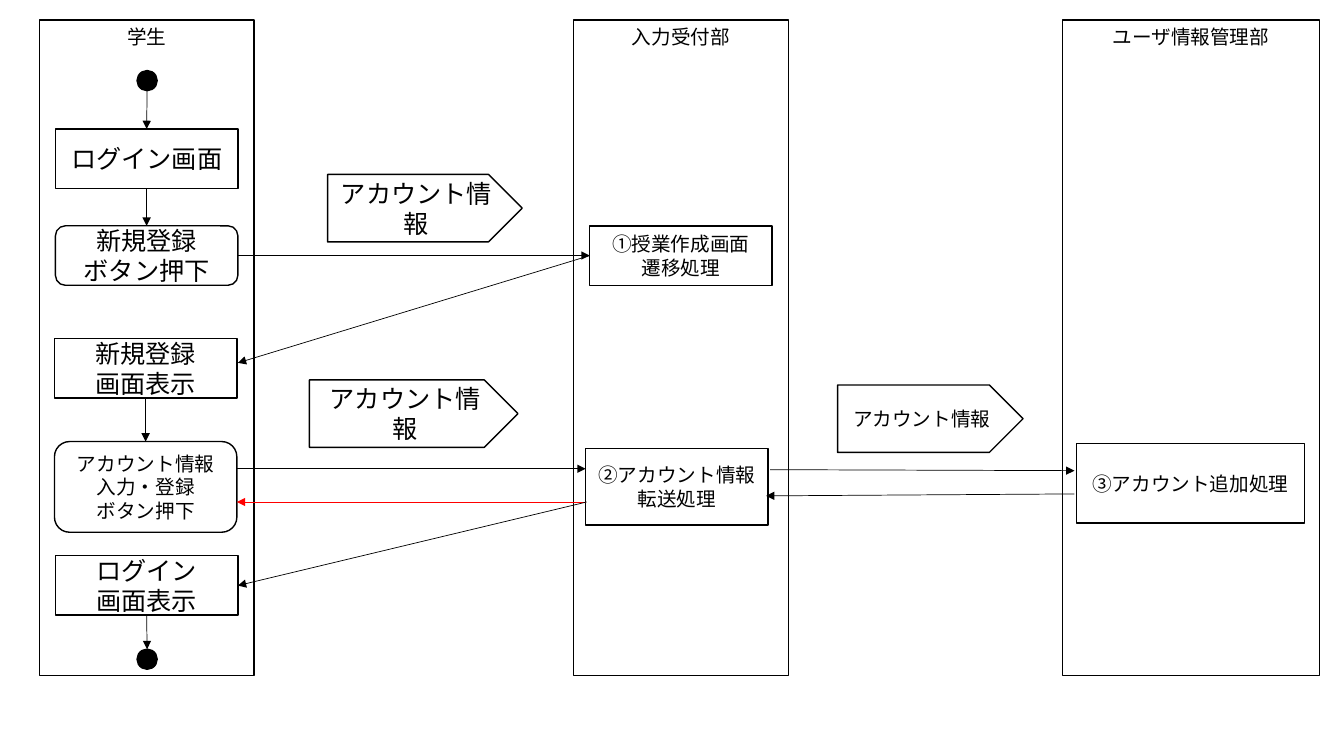
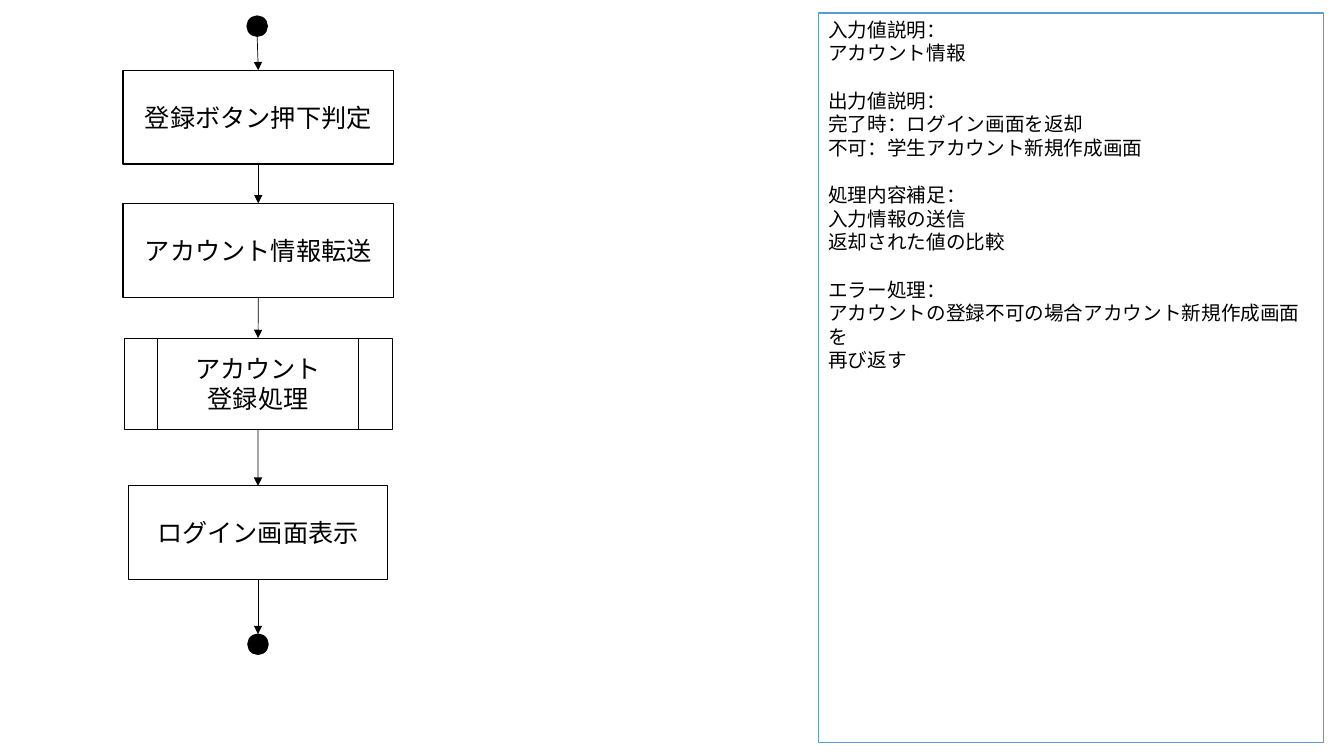
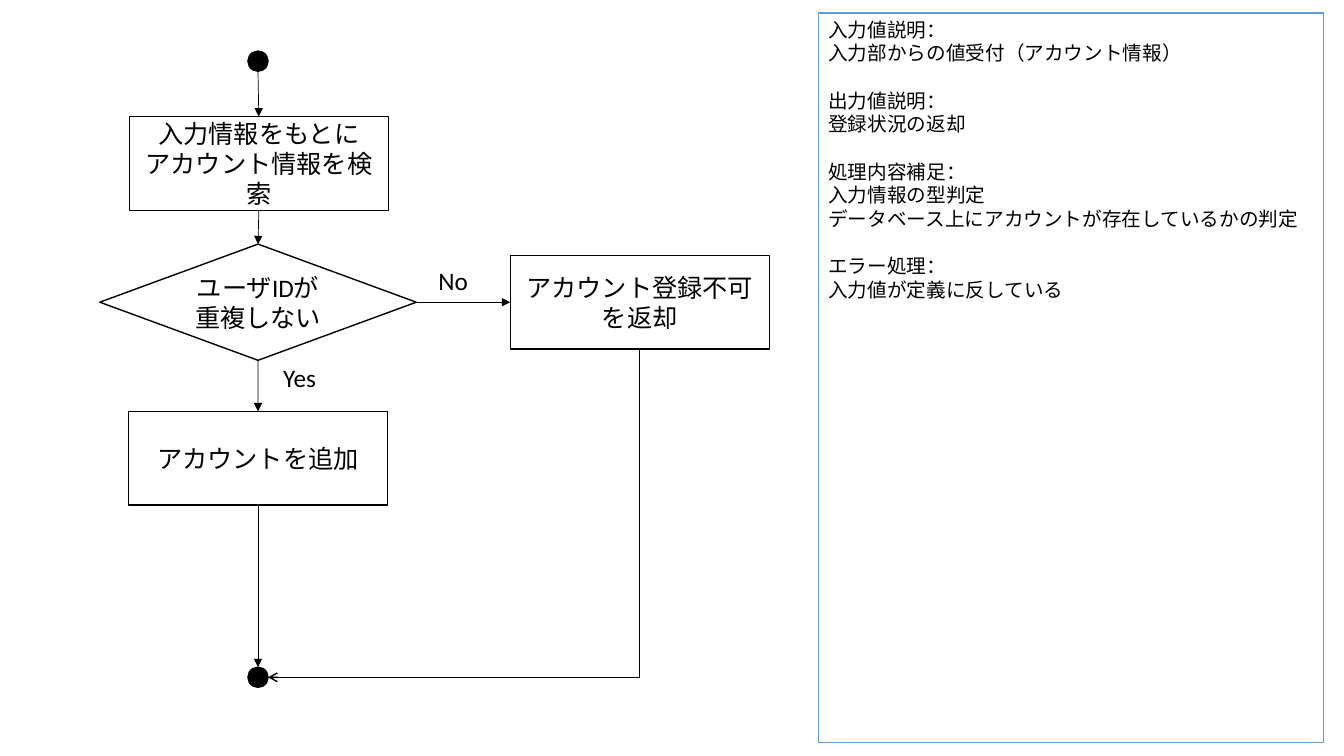
import dataclasses
import itertools
import typing

import lxml.etree
import pptx
import pptx.dml.color
import pptx.enum.shapes
import pptx.enum.text
import pptx.oxml.ns
import pptx.shapes.autoshape
import pptx.shapes.connector
import pptx.slide
import pptx.util

Pt = pptx.util.Pt
qn = pptx.oxml.ns.qn
Kind = pptx.enum.shapes.MSO_SHAPE
Align = pptx.enum.text.PP_ALIGN
Anchor = pptx.enum.text.MSO_ANCHOR
Slide = pptx.slide.Slide
Shape = pptx.shapes.autoshape.Shape
Connector = pptx.shapes.connector.Connector
Point = tuple[float, float]

BLACK = "000000"
WHITE = "FFFFFF"
RED = "FF0000"
BLUE = "5B9BD5"
DOT = 14.4
TOP, LEFT, BOTTOM, RIGHT = range(4)


@dataclasses.dataclass(frozen=True)
class Node:
    left: float
    top: float
    width: float
    height: float
    lines: tuple[str, ...] = ()
    kind: Kind = Kind.RECTANGLE
    size: float = 18
    font: str = "Calibri"
    fill: typing.Optional[str] = WHITE
    line: str = BLACK
    weight: float = 1
    align: Align = Align.CENTER
    anchor: Anchor = Anchor.MIDDLE


def color(value: str) -> pptx.dml.color.RGBColor:
    return pptx.dml.color.RGBColor.from_string(value)


def write(sp: Shape, node: Node) -> None:
    tf = sp.text_frame
    tf.word_wrap = True
    tf.vertical_anchor = node.anchor
    for i, text in enumerate(node.lines):
        p = tf.paragraphs[0] if i == 0 else tf.add_paragraph()
        p.text = text
        p.alignment = node.align
        p.font.name = node.font
        p.font.size = Pt(node.size)
        p.font.color.rgb = color(BLACK)


def draw(slide: Slide, node: Node) -> Shape:
    box = map(Pt, (node.left, node.top, node.width, node.height))
    sp = slide.shapes.add_shape(node.kind, *box)
    sp.shadow.inherit = False
    if node.fill:
        sp.fill.solid()
        sp.fill.fore_color.rgb = color(node.fill)
    else:
        sp.fill.background()
    sp.line.color.rgb = color(node.line)
    sp.line.width = Pt(node.weight)
    write(sp, node)
    return sp


def dot(left: float, top: float) -> Node:
    return Node(left, top, DOT, DOT, kind=Kind.OVAL, fill=BLACK)


def process(left: float, top: float, width: float, *lines: str) -> Node:
    return Node(left, top, width, 67, lines, Kind.FLOWCHART_PROCESS)


def label(slide: Slide, left: float, top: float, text: str) -> None:
    node = Node(left, top, 44.6, 29, (text,), align=Align.LEFT, anchor=Anchor.TOP)
    sp = slide.shapes.add_textbox(*map(Pt, (left, top, node.width, node.height)))
    write(sp, node)
    sp.text_frame.auto_size = pptx.enum.text.MSO_AUTO_SIZE.SHAPE_TO_FIT_TEXT


def notes_panel(slide: Slide, *sections: tuple[str, ...]) -> None:
    lines = tuple(itertools.chain.from_iterable(sections))
    sp = draw(slide, Node(584.6, 9.2, 360.7, 521.3, lines, Kind.FLOWCHART_PROCESS,
                          14, line=BLUE, align=Align.LEFT, anchor=Anchor.TOP))
    starts = itertools.accumulate(map(len, sections[:-1]))
    for i in starts:
        sp.text_frame.paragraphs[i].space_before = Pt(17)


def arrow(slide: Slide, start: Point, end: Point, line: str = BLACK,
          weight: float = 0.5, head: str = "triangle") -> Connector:
    c = slide.shapes.add_connector(pptx.enum.shapes.MSO_CONNECTOR.STRAIGHT,
                                   *map(Pt, (*start, *end)))
    c.line.color.rgb = color(line)
    c.line.width = Pt(weight)
    spPr = c._element.spPr
    lxml.etree.SubElement(spPr.find(qn("a:ln")), qn("a:tailEnd"), type=head)
    lxml.etree.SubElement(spPr, qn("a:effectLst"))
    return c


def link(slide: Slide, a: Shape, b: Shape,
         start: int = BOTTOM, end: int = TOP) -> None:
    below = ((a.left + a.width / 2) / Pt(1), (a.top + a.height) / Pt(1))
    c = arrow(slide, below, below)
    if a.auto_shape_type != Kind.OVAL:
        c.begin_connect(a, start)
    c.end_connect(b, end)


def chain(slide: Slide, *nodes: Node) -> list[Shape]:
    shapes = [draw(slide, node) for node in nodes]
    for a, b in itertools.pairwise(shapes):
        link(slide, a, b)
    return shapes


def down_then_left(slide: Slide, start: Point, end: Point) -> None:
    across, down = start[0] - end[0], end[1] - start[1]
    x = (start[0] + end[0] - down) / 2
    y = (start[1] + end[1] - across) / 2
    c = arrow(slide, (x, y), (x + down, y + across), weight=1, head="arrow")
    spPr = c._element.spPr
    spPr.find(qn("a:prstGeom")).set("prst", "bentConnector2")
    spPr.find(qn("a:xfrm")).set("rot", str(90 * 60000))


def sequence_slide(slide: Slide) -> None:
    for left, width, name in ((28.1, 153.4, "学生"), (409.7, 153.4, "入力受付部"),
                              (758.9, 183.6, "ユーザ情報管理部")):
        draw(slide, Node(left, 14.4, width, 468, (name,), size=14, font="Arial",
                         anchor=Anchor.TOP))

    width, height = 130.3, 42.5
    press = Node(39.6, 161.3, width, height, ("新規登録", "ボタン押下"),
                 Kind.ROUNDED_RECTANGLE)
    start_flow = chain(slide, dot(97.9, 50.4),
                       Node(39.6, 92.2, width, height, ("ログイン画面",)), press)
    chain(slide, Node(38.9, 241.9, width, height, ("新規登録", "画面表示")),
          Node(38.9, 315.4, width, 64.8, ("アカウント情報", "入力・登録", "ボタン押下"),
               Kind.ROUNDED_RECTANGLE, 14))
    chain(slide, Node(39.6, 396.7, width, height, ("ログイン", "画面表示")),
          dot(97.9, 463.7))

    transition = draw(slide, Node(421.2, 161.3, width, height,
                                  ("①授業作成画面", "遷移処理"), size=14))
    draw(slide, Node(418.3, 320.4, width, 54.7, ("②アカウント情報", "転送処理"), size=14))
    draw(slide, Node(769, 316.8, 162.7, 56.9, ("③アカウント追加処理",), size=14))

    for left, top, tag_width, size in ((234, 124.6, 139, 18), (221, 271.4, 149, 18),
                                       (598.3, 275, 132.5, 14)):
        draw(slide, Node(left, top, tag_width, 48.2, ("アカウント情報",),
                         Kind.PENTAGON, size))

    link(slide, start_flow[-1], transition, RIGHT, LEFT)
    arrow(slide, (421.2, 182.6), (169.9, 259.2))
    arrow(slide, (169.2, 334.8), (418.3, 334.8))
    arrow(slide, (418.3, 358.6), (169.2, 358.6), RED)
    arrow(slide, (419, 358.6), (169.9, 418.3))
    arrow(slide, (550.1, 335.5), (767.5, 336.2))
    arrow(slide, (767.5, 352.8), (547.2, 354.2))


def input_slide(slide: Slide) -> None:
    chain(slide, dot(176.5, 11.5),
          process(88, 50.2, 193, "登録ボタン押下判定"),
          process(88, 145.3, 193, "アカウント情報転送"),
          Node(88.6, 241.5, 191.5, 65, ("アカウント", "登録処理"),
               Kind.FLOWCHART_PREDEFINED_PROCESS, fill=None, weight=0.5),
          process(91.8, 347, 185, "ログイン画面表示"),
          dot(177.1, 453))
    notes_panel(slide,
                ("入力値説明：", "アカウント情報"),
                ("出力値説明：", "完了時：ログイン画面を返却",
                 "不可：学生アカウント新規作成画面"),
                ("処理内容補足：", "入力情報の送信", "返却された値の比較"),
                ("エラー処理：",
                 "アカウントの登録不可の場合アカウント新規作成画面を", "再び返す"))


def account_slide(slide: Slide) -> None:
    end_top = 476.6
    flow = chain(slide, dot(177.1, 36.5),
                 process(92.4, 83.2, 185, "入力情報をもとに", "アカウント情報を検索"),
                 Node(71.3, 174.4, 226.1, 83, ("ユーザIDが重複しない",),
                      Kind.FLOWCHART_DECISION),
                 process(91.8, 293.8, 185, "アカウントを追加"),
                 dot(177.1, end_top))
    refused = draw(slide, process(364.5, 182.4, 185, "アカウント登録不可", "を返却"))
    link(slide, flow[2], refused, RIGHT, LEFT)
    down_then_left(slide, (457, 249.4), (177.1 + DOT, end_top + DOT / 2))
    label(slide, 195.1, 254.9, "Yes")
    label(slide, 306, 186.2, "No")
    notes_panel(slide,
                ("入力値説明：", "入力部からの値受付（アカウント情報）"),
                ("出力値説明：", "登録状況の返却"),
                ("処理内容補足：", "入力情報の型判定",
                 "データベース上にアカウントが存在しているかの判定"),
                ("エラー処理：", "入力値が定義に反している"))


prs = pptx.Presentation()
prs.slide_width, prs.slide_height = Pt(960), Pt(540)
for build in (sequence_slide, input_slide, account_slide):
    build(prs.slides.add_slide(prs.slide_layouts.get_by_name("Blank")))
prs.save("out.pptx")
